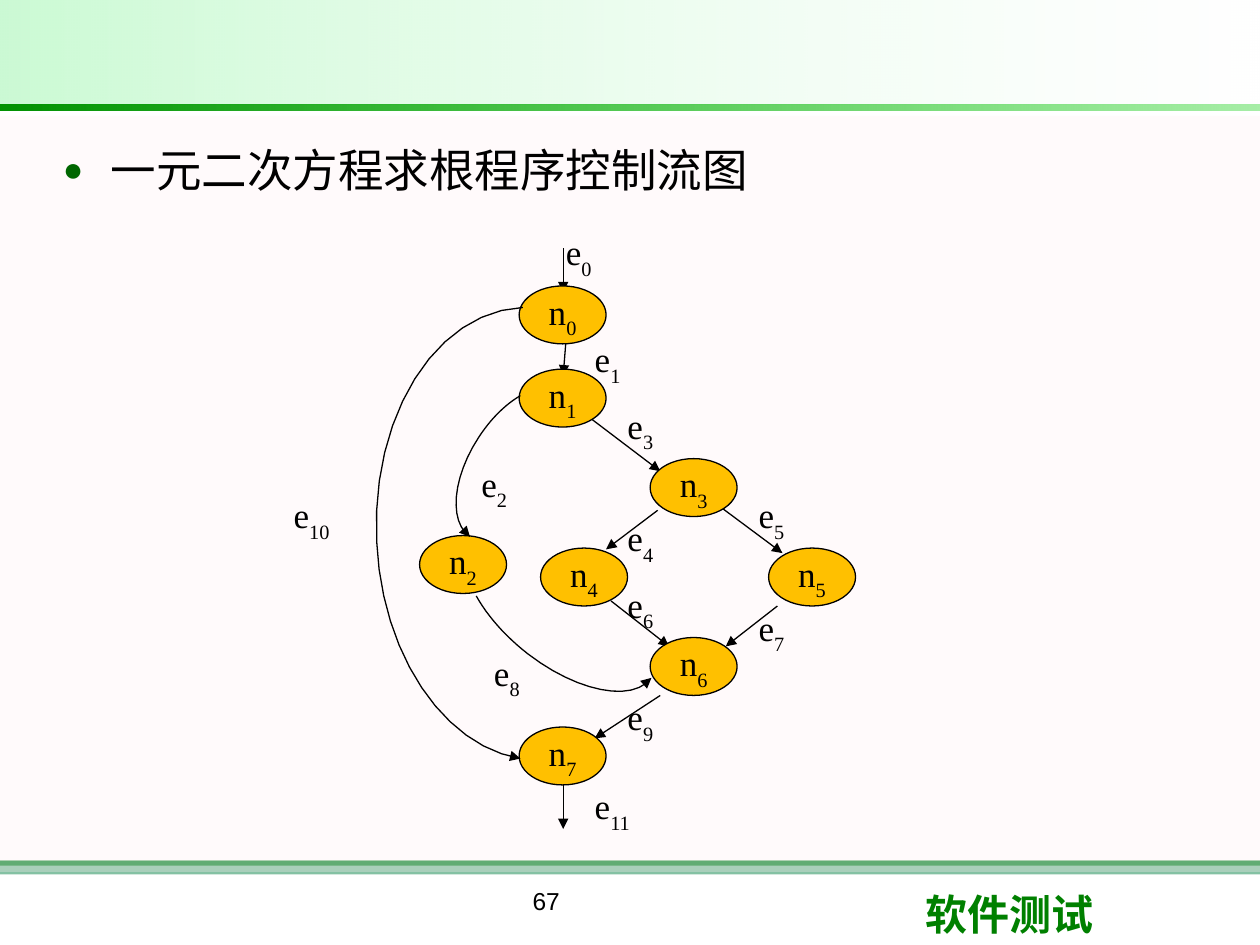
from lxml.etree import SubElement
from pptx import Presentation
from pptx.dml.color import RGBColor
from pptx.enum.shapes import MSO_CONNECTOR as CONNECTOR, MSO_SHAPE as SHAPE
from pptx.enum.text import MSO_ANCHOR as ANCHOR, PP_ALIGN as ALIGN
from pptx.oxml.ns import qn
from pptx.util import Inches, Pt

COLUMNS, ROWS = 100, 75
SLIDE_WIDTH, SLIDE_HEIGHT = Inches(10), Inches(7.5)
SERIF, SANS, CJK = "Times New Roman", "Arial", "Noto Sans CJK SC"
BLACK, AMBER, GREEN = "000000", "FFC000", "008000"

NODE_SIZE, LABEL_SIZE = (6.9, 4.6), (5.2, 3.6)
FIRST_LEVEL, LEVEL_STEP = 11.3, 7.1
NODES = [(18.2, -0.93), (18.2, 0), (10.3, 1.86), (28.6, 1),
         (19.9, 2), (38, 2), (28.6, 3), (18.2, 4)]
LABELS = [(21.9, 0.3), (24.2, 8.8), (15.2, 18.7), (26.8, 14.1),
          (26.8, 23), (37.2, 21.2), (26.8, 28.3), (37.2, 30.1),
          (16.2, 33.7), (26.8, 37.2), (0.3, 21.2), (24.2, 44.3)]
STRAIGHT_EDGES = [
    ((21.7, 1.7), (21.7, 5.2)),
    ((21.9, 9.3), (21.7, 11.8)),
    ((24, 15.3), (29.4, 19.4)),
    ((29.2, 22.5), (25.1, 25.6)),
    ((34.4, 22.4), (39.1, 25.9)),
    ((25.5, 29.7), (30.1, 33.3)),
    ((38.7, 30.1), (34.6, 33.3)),
    ((29.4, 37.2), (24.2, 40.6)),
    ((21.7, 44.3), (21.7, 47.8)),
]
CURVED_EDGES = [
    [(18.3, 13.4), (17.1, 14.1), (15.9, 15.3), (15, 16.7),
     (12.9, 19.9), (12.6, 23.4), (14.3, 24.6)],
    [(14.8, 29.3), (15.7, 30.9), (17.1, 32.5), (18.9, 33.9),
     (22.8, 36.9), (27.2, 37.8), (28.7, 35.8)],
    [(18.5, 6.4), (11.6, 6.7), (6.4, 15), (6.9, 25),
     (7.3, 33.9), (12.2, 41.2), (18.3, 42.2)],
]


def rgb(hex_color):
    return RGBColor.from_string(hex_color)


def place(x, y):
    return round(x * SLIDE_WIDTH / COLUMNS), round(y * SLIDE_HEIGHT / ROWS)


def style_run(run, size, face, color=BLACK, bold=False):
    run.font.size = Pt(size)
    run.font.name = face
    run.font.bold = bold
    run.font.color.rgb = rgb(color)
    SubElement(run.font._element, qn("a:ea"), typeface=CJK if face != SERIF else SERIF)


def add_band(slide, box, colors, opacities):
    left, top, width, height = box
    band = slide.shapes.add_shape(SHAPE.RECTANGLE, *place(left, top), *place(width, height))
    band.shadow.inherit = False
    band.line.fill.background()
    if len(colors) == 1:
        band.fill.solid()
        band.fill.fore_color.rgb = rgb(colors[0])
    else:
        band.fill.gradient()
        band.fill.gradient_angle = 0
        for stop, color in zip(band.fill.gradient_stops, colors):
            stop.color.rgb = rgb(color)
    swatches = list(band._element.spPr.iter(qn("a:srgbClr")))
    for swatch, opacity in zip(swatches, opacities):
        SubElement(swatch, qn("a:alpha"), val=str(opacity * 1000))


def add_text(slide, box, wording, align=ALIGN.LEFT):
    left, top, width, height = box
    text_box = slide.shapes.add_textbox(*place(left, top), *place(width, height))
    text_box.text_frame.word_wrap = True
    paragraph = text_box.text_frame.paragraphs[0]
    paragraph.text = wording
    paragraph.alignment = align
    return paragraph


def add_backdrop(slide, box):
    left, top, width, height = box
    bands = [
        (68.3, 0.4, [GREEN], [100]),
        (68.3, 1.1, ["339966"], [60]),
        (9.2, 60, ["FFF0F5"], [30]),
        (0, 8.3, ["09E733", "FFFFFF"], [21, 10]),
        (8.3, 0.5, ["009200", "00CC00"], [100, 35]),
    ]
    for offset, thickness, colors, opacities in bands:
        add_band(slide, (left, top + offset, width, thickness), colors, opacities)


def add_heading(slide, box):
    paragraph = add_text(slide, box, "一元二次方程求根程序控制流图")
    properties = paragraph._p.get_or_add_pPr()
    properties.set("marL", str(Inches(0.39)))
    properties.set("indent", str(Inches(-0.38)))
    bullet_color = SubElement(properties, qn("a:buClr"))
    SubElement(bullet_color, qn("a:srgbClr"), val="006600")
    SubElement(properties, qn("a:buSzPct"), val="75000")
    SubElement(properties, qn("a:buFont"), typeface=SANS)
    SubElement(properties, qn("a:buChar"), char="●")
    paragraph.space_after = Pt(6)
    style_run(paragraph.runs[0], 26, CJK)


def add_footer(slide, box):
    left, top, width, height = box
    number = add_text(slide, (left + 27.5, top, 31.7, height), "67", ALIGN.CENTER)
    style_run(number.runs[0], 14, SANS)
    course = add_text(slide, (left + 72.5, top + 0.2, 23.7, height), "软件测试")
    style_run(course.runs[0], 24, SANS, GREEN, True)


def write_symbol(text_frame, letter, index, align):
    text_frame.margin_left = text_frame.margin_right = 0
    text_frame.margin_top = text_frame.margin_bottom = 0
    text_frame.word_wrap = True
    paragraph = text_frame.paragraphs[0]
    paragraph.text = letter
    paragraph.alignment = align
    paragraph.add_run().text = str(index)
    for run in paragraph.runs:
        style_run(run, 20, SERIF)
    paragraph.runs[1].font._element.set("baseline", "-30000")


def style_edge(edge):
    edge.line.color.rgb = rgb(BLACK)
    edge.line.width = Pt(0.75)
    SubElement(edge.line._get_or_add_ln(), qn("a:tailEnd"), type="triangle")


def bezier_points(controls, steps=12):
    points = [controls[0]]
    for first in range(0, len(controls) - 1, 3):
        a, b, c, d = controls[first:first + 4]
        for step in range(1, steps + 1):
            t = step / steps
            u = 1 - t
            points.append(tuple(
                u**3 * a[i] + 3 * u * u * t * b[i] + 3 * u * t * t * c[i] + t**3 * d[i]
                for i in (0, 1)))
    return points


def add_flow_graph(slide, box):
    left, top = box[:2]

    def at(x, y):
        return place(left + x, top + y)

    for start, end in STRAIGHT_EDGES:
        edge = slide.shapes.add_connector(CONNECTOR.STRAIGHT, *at(*start), *at(*end))
        style_edge(edge)
        SubElement(edge._element.spPr, qn("a:effectLst"))

    for index, (x, level) in enumerate(NODES):
        node = slide.shapes.add_shape(
            SHAPE.OVAL, *at(x, FIRST_LEVEL + level * LEVEL_STEP), *place(*NODE_SIZE))
        node.shadow.inherit = False
        node.fill.solid()
        node.fill.fore_color.rgb = rgb(AMBER)
        node.line.color.rgb = rgb(BLACK)
        node.line.width = Pt(0.75)
        node.text_frame.vertical_anchor = ANCHOR.MIDDLE
        write_symbol(node.text_frame, "n", index, ALIGN.CENTER)

    for controls in CURVED_EDGES:
        start, *rest = [at(*point) for point in bezier_points(controls)]
        builder = slide.shapes.build_freeform(*start)
        builder.add_line_segments(rest, close=False)
        edge = builder.convert_to_shape()
        edge.shadow.inherit = False
        edge.fill.background()
        style_edge(edge)

    for index, corner in enumerate(LABELS):
        label = slide.shapes.add_textbox(*at(*corner), *place(*LABEL_SIZE))
        write_symbol(label.text_frame, "e", index, ALIGN.LEFT)


def main():
    deck = Presentation()
    deck.slide_width, deck.slide_height = SLIDE_WIDTH, SLIDE_HEIGHT
    slide = deck.slides.add_slide(deck.slide_layouts[6])
    add_backdrop(slide, (0, 0, COLUMNS, ROWS))
    add_heading(slide, (3.9, 10.8, 93.6, 55.8))
    add_footer(slide, (0, 69.8, COLUMNS, 5.2))
    add_flow_graph(slide, (23, 18, 45, 48))
    deck.save("out.pptx")


if __name__ == "__main__":
    main()
